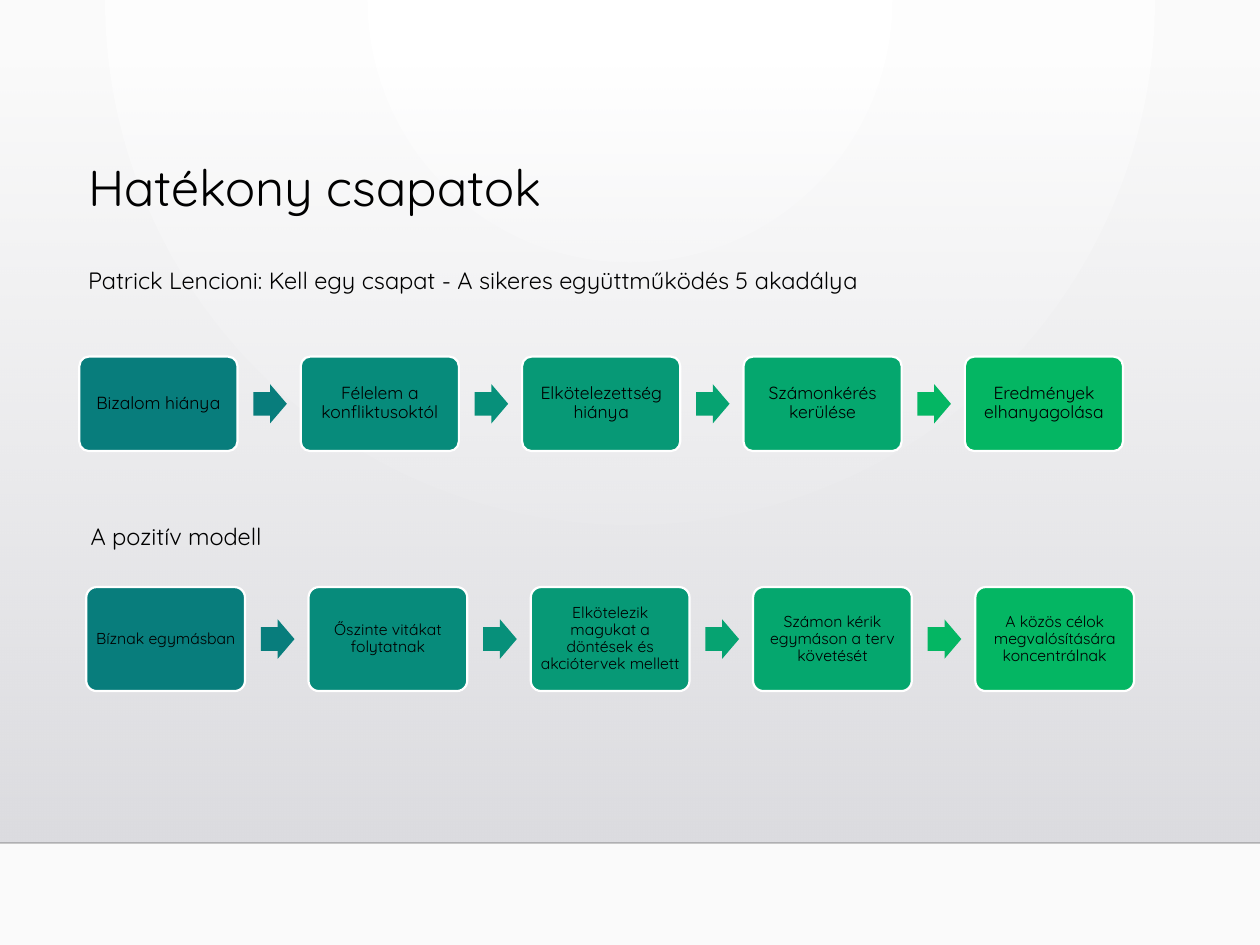
"""Build a slide with two five-step flows about effective teams."""
import pptx
import pptx.dml.color
import pptx.enum.shapes
import pptx.enum.text
import pptx.oxml
import pptx.oxml.ns
import pptx.util
from dataclasses import dataclass

TITLE = "Hatékony csapatok"
SUBTITLE = "Patrick Lencioni: Kell egy csapat - A sikeres együttműködés 5 akadálya"
MODEL_HEADING = "A pozitív modell"
FLOWS = [
    {"left": 6.3, "top": 28.3, "width": 12.55, "height": 7.5, "size": 10, "steps": [
        "Bizalom hiánya",
        "Félelem a konfliktusoktól",
        "Elkötelezettség hiánya",
        "Számonkérés kerülése",
        "Eredmények elhanyagolása",
    ]},
    {"left": 6.85, "top": 46.6, "width": 12.6, "height": 8.25, "size": 9, "steps": [
        "Bíznak egymásban",
        "Őszinte vitákat folytatnak",
        "Elkötelezik magukat a döntések és akciótervek mellett",
        "Számon kérik egymáson a terv követését",
        "A közös célok megvalósítására koncentrálnak",
    ]},
]


@dataclass(frozen=True)
class Theme:
    font: str = "Quicksand"
    text: str = "000000"
    outline: str = "FFFFFF"
    floor_line: str = "000001"
    title_size: float = 28.8
    heading_size: float = 13.5
    steps: tuple = ("087D7C", "078B7B", "079976", "05A76E", "04B663")
    arrows: tuple = ("087D7C", "07907A", "06A371", "04B663")
    backdrop: tuple = (("FFFFFF", 100), ("FAFAFA", 100))
    wall: tuple = (("DCDCE0", 0), ("DEDEE2", 100))


THEME = Theme()
SHAPES = pptx.enum.shapes.MSO_SHAPE
ALIGN = pptx.enum.text.PP_ALIGN
ANCHOR = pptx.enum.text.MSO_ANCHOR
COLUMNS, ROWS = 100, 75
SPOTLIGHT = '<a:path path="circle"><a:fillToRect l="43000" t="0" r="43000" b="100000"/></a:path>'
DOWNWARD = '<a:lin ang="5400000" scaled="0"/>'

presentation = pptx.Presentation()
presentation.slide_width = pptx.util.Inches(10)
presentation.slide_height = pptx.util.Inches(7.5)
slide = presentation.slides.add_slide(presentation.slide_layouts[6])


def place(left, top, width, height):
    column = presentation.slide_width / COLUMNS
    row = presentation.slide_height / ROWS
    return [round(value) for value in (left * column, top * row, width * column, height * row)]


def color(value):
    return pptx.dml.color.RGBColor.from_string(value)


def set_gradient(fill, properties, stops, direction):
    fill.gradient()
    gradient = properties.find(pptx.oxml.ns.qn("a:gradFill"))
    stop_xml = "".join(
        f'<a:gs pos="{position}"><a:srgbClr val="{value}"><a:alpha val="{opacity * 1000}"/></a:srgbClr></a:gs>'
        for position, (value, opacity) in zip((0, 100000), stops))
    properties.replace(gradient, pptx.oxml.parse_xml(
        f'<a:gradFill {pptx.oxml.ns.nsdecls("a")} rotWithShape="1">'
        f'<a:gsLst>{stop_xml}</a:gsLst>{direction}</a:gradFill>'))


def add_block(kind, box, fill=None, outline=None):
    shape = slide.shapes.add_shape(kind, *place(*box))
    shape.shadow.inherit = False
    if fill:
        shape.fill.solid()
        shape.fill.fore_color.rgb = color(fill)
    if outline:
        shape.line.color.rgb = color(outline)
        shape.line.width = pptx.util.Pt(1.25)
    else:
        shape.line.fill.background()
    return shape


def write(paragraph, text, size, spacing=1.0, align=ALIGN.LEFT):
    paragraph.alignment = align
    paragraph.line_spacing = spacing
    run = paragraph.add_run()
    run.text = text
    run.font.name = THEME.font
    run.font.size = pptx.util.Pt(size)
    run.font.color.rgb = color(THEME.text)


def add_text_box(box):
    frame = slide.shapes.add_textbox(*place(*box)).text_frame
    frame.word_wrap = True
    return frame


def add_backdrop():
    background = slide.background
    set_gradient(background.fill, slide.element.cSld.bg.bgPr, THEME.backdrop, SPOTLIGHT)
    wall = add_block(SHAPES.RECTANGLE, (0, 5.1, COLUMNS, 61.8))
    set_gradient(wall.fill, wall.element.spPr, THEME.wall, DOWNWARD)
    left, top, width, height = place(0, 66.9, COLUMNS, 0)
    floor = slide.shapes.add_connector(
        pptx.enum.shapes.MSO_CONNECTOR.STRAIGHT, left, top, left + width, top + height)
    floor.line.color.rgb = color(THEME.floor_line)
    floor.line.width = pptx.util.Pt(1)
    properties = floor.element.spPr
    line_color = next(properties.iter(pptx.oxml.ns.qn("a:srgbClr")))
    line_color.append(pptx.oxml.parse_xml(f'<a:alpha {pptx.oxml.ns.nsdecls("a")} val="20000"/>'))
    properties.append(pptx.oxml.parse_xml(f'<a:effectLst {pptx.oxml.ns.nsdecls("a")}/>'))


def add_headings():
    frame = add_text_box((6, 12.4, 77.1, 11.5))
    write(frame.paragraphs[0], TITLE, THEME.title_size, 0.9)
    subtitle = frame.add_paragraph()
    subtitle.space_before = pptx.util.Pt(30)
    write(subtitle, SUBTITLE, THEME.heading_size, 0.9)
    write(add_text_box((6.2, 40.9, 18.9, 3.3)).paragraphs[0], MODEL_HEADING, THEME.heading_size)


def add_flow(flow):
    width, height, top = flow["width"], flow["height"], flow["top"]
    arrow_width, arrow_height = 0.212 * width, 0.248 * width
    for index, text in enumerate(flow["steps"]):
        left = flow["left"] + index * 1.4 * width
        step = add_block(SHAPES.ROUNDED_RECTANGLE, (left, top, width, height),
                         THEME.steps[index], THEME.outline)
        step.adjustments[0] = 0.1
        frame = step.text_frame
        frame.word_wrap = True
        frame.vertical_anchor = ANCHOR.MIDDLE
        frame.margin_left = frame.margin_right = pptx.util.Inches(0.03)
        frame.margin_top = frame.margin_bottom = pptx.util.Inches(0.04)
        write(frame.paragraphs[0], text, flow["size"], 0.9, ALIGN.CENTER)
        if index < len(THEME.arrows):
            arrow = add_block(
                SHAPES.RIGHT_ARROW,
                (left + 1.1 * width, top + (height - arrow_height) / 2, arrow_width, arrow_height),
                THEME.arrows[index])
            arrow.adjustments[0] = 0.6
            arrow.adjustments[1] = 0.5


add_backdrop()
add_headings()
for flow in FLOWS:
    add_flow(flow)
presentation.save("out.pptx")
